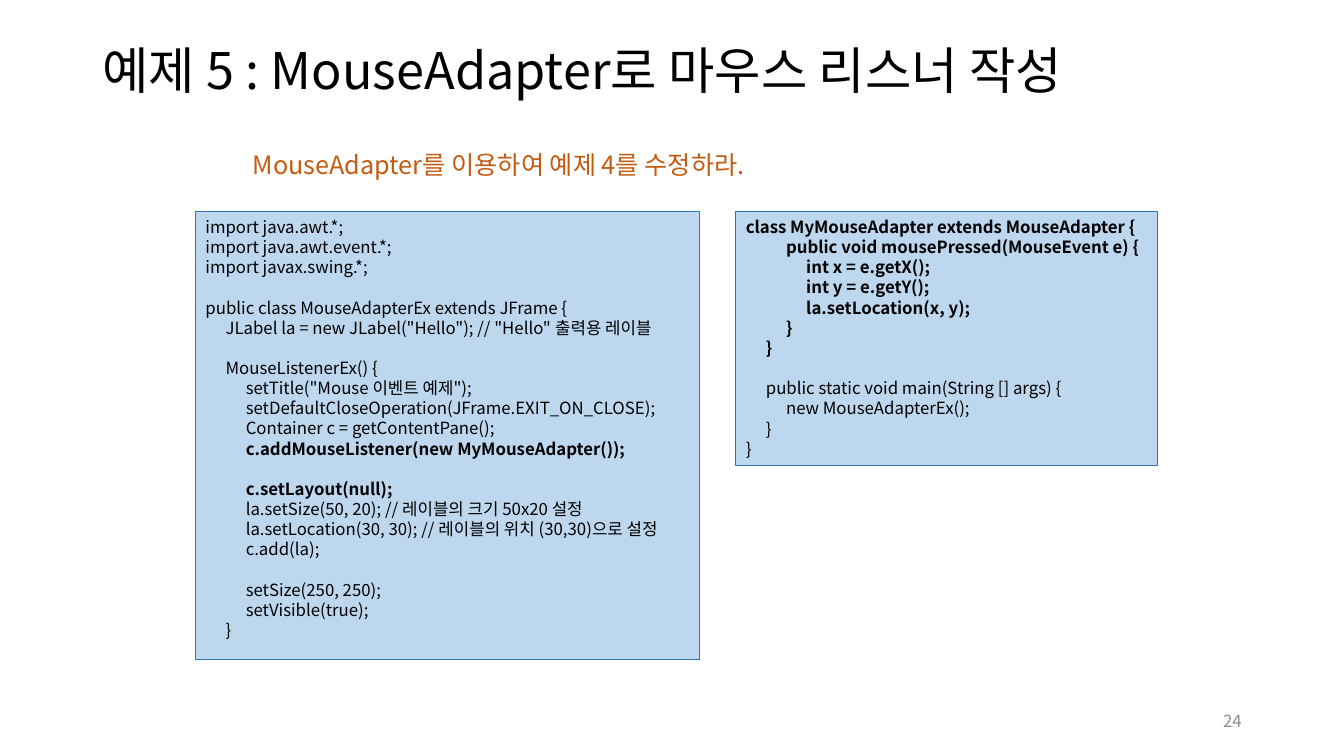
import dataclasses
import typing

import lxml.etree
import pptx
import pptx.dml.color
import pptx.enum.shapes
import pptx.enum.text
import pptx.oxml.ns
import pptx.util

Pt = pptx.util.Pt
Align = pptx.enum.text.PP_ALIGN
Anchor = pptx.enum.text.MSO_ANCHOR


@dataclasses.dataclass(frozen=True)
class Theme:
    font: str = "Noto Sans CJK KR"
    ink: str = "000000"
    accent: str = "C55A11"
    muted: str = "8C8C8C"
    panel: str = "BDD7EE"
    border: str = "2E75B6"
    title: float = 36
    task: float = 18
    small: float = 12
    row: float = 14.4
    indent: float = 14.4


THEME = Theme()


class Box(typing.NamedTuple):
    left: float
    top: float
    width: float
    height: float


@dataclasses.dataclass(frozen=True)
class Label:
    text: str
    box: Box
    size: float
    color: str
    anchor: Anchor = Anchor.MIDDLE
    align: Align = Align.LEFT
    spacing: float = 1.0


class Line(typing.NamedTuple):
    text: str
    level: int = 0
    bold: bool = False
    gap: bool = False


@dataclasses.dataclass(frozen=True)
class Panel:
    box: Box
    lines: tuple[Line, ...]


LABELS = (
    Label("예제 5 : MouseAdapter로 마우스 리스너 작성", Box(66, 0, 828, 104.4),
          THEME.title, THEME.ink, spacing=0.9),
    Label("24", Box(678, 500.5, 216, 28.75), THEME.small, THEME.muted, align=Align.RIGHT),
    Label("MouseAdapter를 이용하여 예제 4를 수정하라.", Box(173.5, 103, 446.4, 29),
          THEME.task, THEME.accent, anchor=Anchor.TOP),
)

PANELS = (
    Panel(Box(525.6, 151.2, 301, 181.4), (
        Line("class MyMouseAdapter extends MouseAdapter {", bold=True),
        Line("public void mousePressed(MouseEvent e) {", 2, bold=True),
        Line("int x = e.getX();", 3, bold=True),
        Line("int y = e.getY();", 3, bold=True),
        Line("la.setLocation(x, y);", 3, bold=True),
        Line("}", 2, bold=True),
        Line("}", 1, bold=True),
        Line("public static void main(String [] args) {", 1, gap=True),
        Line("new MouseAdapterEx();", 2),
        Line("}", 1),
        Line("}"),
    )),
    Panel(Box(139.7, 151.2, 360, 319.7), (
        Line("import java.awt.*;"),
        Line("import java.awt.event.*;"),
        Line("import javax.swing.*;"),
        Line("public class MouseAdapterEx extends JFrame {", gap=True),
        Line('JLabel la = new JLabel("Hello"); // "Hello" 출력용 레이블', 1),
        Line("MouseListenerEx() {", 1, gap=True),
        Line('setTitle("Mouse 이벤트 예제");', 2),
        Line("setDefaultCloseOperation(JFrame.EXIT_ON_CLOSE);", 2),
        Line("Container c = getContentPane();", 2),
        Line("c.addMouseListener(new MyMouseAdapter());", 2, bold=True),
        Line("c.setLayout(null);", 2, bold=True, gap=True),
        Line("la.setSize(50, 20); // 레이블의 크기 50x20 설정", 2),
        Line("la.setLocation(30, 30); // 레이블의 위치 (30,30)으로 설정", 2),
        Line("c.add(la);", 2),
        Line("setSize(250, 250);", 2, gap=True),
        Line("setVisible(true);", 2),
        Line("}", 1),
    )),
)


def paint(hue: str) -> pptx.dml.color.RGBColor:
    return pptx.dml.color.RGBColor.from_string(hue)


def place(box: Box) -> list[pptx.util.Length]:
    return [Pt(side) for side in box]


def style(para, size: float, color: str, bold: bool = False) -> None:
    """Format every run, with the same font for Latin and Korean text."""
    for run in para.runs:
        font = run.font
        font.name, font.size, font.bold = THEME.font, Pt(size), bold
        font.color.rgb = paint(color)
        asian = lxml.etree.SubElement(run._r.get_or_add_rPr(), pptx.oxml.ns.qn("a:ea"))
        asian.set("typeface", THEME.font)


def draw_label(slide, label: Label) -> None:
    frame = slide.shapes.add_textbox(*place(label.box)).text_frame
    frame.word_wrap = True
    frame.vertical_anchor = label.anchor
    frame.text = label.text
    para = frame.paragraphs[0]
    para.alignment = label.align
    para.line_spacing = label.spacing
    style(para, label.size, label.color)


def draw_panel(slide, panel: Panel) -> None:
    shape = slide.shapes.add_shape(pptx.enum.shapes.MSO_SHAPE.RECTANGLE, *place(panel.box))
    shape.shadow.inherit = False
    shape.fill.solid()
    shape.fill.fore_color.rgb = paint(THEME.panel)
    shape.line.color.rgb = paint(THEME.border)
    shape.line.width = Pt(0.75)
    frame = shape.text_frame
    frame.word_wrap = True
    frame.vertical_anchor = Anchor.TOP
    frame.text = "\n".join(line.text for line in panel.lines)
    for para, line in zip(frame.paragraphs, panel.lines):
        para.alignment = Align.LEFT
        para.line_spacing = Pt(THEME.row)
        para.space_before = Pt(THEME.row if line.gap else 0)
        props = para._p.get_or_add_pPr()
        props.set("marL", str(Pt(THEME.indent * line.level)))
        props.set("indent", "0")
        style(para, THEME.small, THEME.ink, line.bold)


def main() -> None:
    deck = pptx.Presentation()
    deck.slide_width, deck.slide_height = Pt(960), Pt(540)
    slide = deck.slides.add_slide(deck.slide_layouts[6])
    for label in LABELS:
        draw_label(slide, label)
    for panel in PANELS:
        draw_panel(slide, panel)
    deck.save("out.pptx")


if __name__ == "__main__":
    main()
